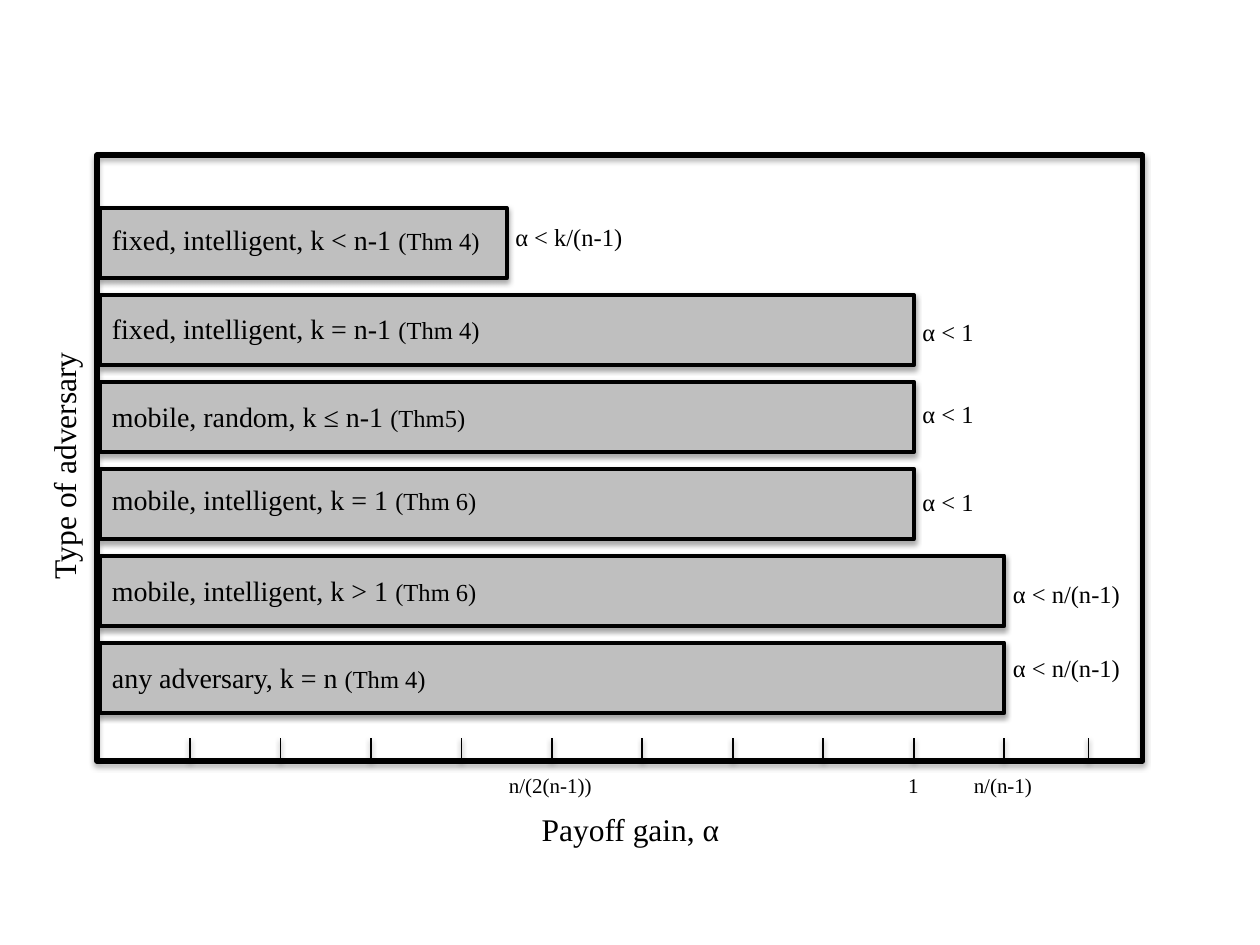
from lxml import etree
from pptx import Presentation
from pptx.dml.color import RGBColor
from pptx.enum.shapes import MSO_CONNECTOR, MSO_SHAPE
from pptx.enum.text import MSO_AUTO_SIZE
from pptx.oxml.ns import qn
from pptx.util import Inches, Pt

FONT = "Times New Roman"
BLACK, GREY = "000000", "BFBFBF"
ORIGIN, UNIT = 0.79, 0.718
FIRST_ROW, ROW_PITCH, BAR_HEIGHT = 1.65, 0.69, 0.56
AXIS_TOP, AXIS_BOTTOM = 5.86, 6.05
AXIS_LABEL_TOP = 6.08

BARS = [
    (4.5, "fixed, intelligent, k < n-1 ", "(Thm 4)", 1.72, "α < k/(n-1)", 1.71),
    (9, "fixed, intelligent, k = n-1 ", "(Thm 4)", 2.42, "α < 1", 2.47),
    (9, "mobile, random, k ≤ n-1 ", "(Thm5)", 3.12, "α < 1", 3.12),
    (9, "mobile, intelligent, k = 1 ", "(Thm 6)", 3.78, "α < 1", 3.82),
    (10, "mobile, intelligent, k > 1 ", "(Thm 6)", 4.5, "α < n/(n-1)", 4.55),
    (10, "any adversary, k = n ", "(Thm 4)", 5.19, "α < n/(n-1)", 5.13),
]
AXIS_LABELS = [("n/(2(n-1))", 3.94, 1.12), ("1", 7.11, 0.32), ("n/(n-1)", 7.63, 1.12)]


def color(value):
    """Turn a hex string into a colour."""
    return RGBColor.from_string(value)


def column(units):
    """Return the horizontal place of a value on the payoff axis."""
    return ORIGIN + units * UNIT


def add_shadow(shape, opacity, distance):
    """Give a shape or line a soft shadow that falls downwards."""
    effects = etree.SubElement(shape._element.spPr, qn("a:effectLst"))
    outer = etree.SubElement(effects, qn("a:outerShdw"), blurRad=str(Pt(3.1)),
                             dist=str(Pt(distance)), dir="5400000", rotWithShape="0")
    black = etree.SubElement(outer, qn("a:srgbClr"), val=BLACK)
    etree.SubElement(black, qn("a:alpha"), val=str(opacity * 1000))


def add_box(slide, left, top, width, height, line_width, fill=None):
    """Draw an outlined rectangle, filled when a colour is given."""
    box = slide.shapes.add_shape(MSO_SHAPE.RECTANGLE, Inches(left), Inches(top),
                                 Inches(width), Inches(height))
    if fill:
        box.fill.solid()
        box.fill.fore_color.rgb = color(fill)
    else:
        box.fill.background()
    box.line.color.rgb = color(BLACK)
    box.line.width = Pt(line_width)
    add_shadow(box, 35, 1.8)


def add_text(slide, left, top, width, height, *runs, rotation=0):
    """Write one line made of (text, size) runs."""
    box = slide.shapes.add_textbox(Inches(left), Inches(top), Inches(width), Inches(height))
    box.rotation = rotation
    frame = box.text_frame
    frame.word_wrap = True
    frame.auto_size = MSO_AUTO_SIZE.SHAPE_TO_FIT_TEXT
    for text, size in runs:
        run = frame.paragraphs[0].add_run()
        run.text = text
        run.font.name = FONT
        run.font.size = Pt(size)
        run.font.color.rgb = color(BLACK)


def add_tick(slide, x):
    """Draw one tick mark on the payoff axis."""
    tick = slide.shapes.add_connector(MSO_CONNECTOR.STRAIGHT, Inches(x), Inches(AXIS_TOP),
                                      Inches(x), Inches(AXIS_BOTTOM))
    tick.line.color.rgb = color(BLACK)
    tick.line.width = Pt(1)
    add_shadow(tick, 38, 1.6)


def main():
    """Build the slide of payoff gain by type of adversary."""
    deck = Presentation()
    deck.slide_width, deck.slide_height = Inches(10), Inches(7.5)
    slide = deck.slides.add_slide(deck.slide_layouts[6])

    add_box(slide, 0.77, 1.23, 8.3, 4.81, 3)
    for row, (units, *_) in enumerate(BARS):
        add_box(slide, ORIGIN, FIRST_ROW + row * ROW_PITCH, units * UNIT, BAR_HEIGHT, 2.25, GREY)
    for units, name, theorem, name_top, bound, bound_top in BARS:
        name_width = min(units * UNIT, 3.82)
        add_text(slide, ORIGIN, name_top, name_width, 0.37, (name, 16), (theorem, 14))
        add_text(slide, column(units) - 0.03, bound_top, 1.12, 0.34, (bound, 14))

    for x in [column(units) for units in range(1, 11)] + [8.64]:
        add_tick(slide, x)
    for label, left, width in AXIS_LABELS:
        add_text(slide, left, AXIS_LABEL_TOP, width, 0.3, (label, 12))
    add_text(slide, 4.2, 6.38, 1.81, 0.4, ("Payoff gain, α", 18))
    add_text(slide, -0.57, 3.42, 2.15, 0.4, ("Type of adversary", 18), rotation=270)

    deck.save("out.pptx")


main()
